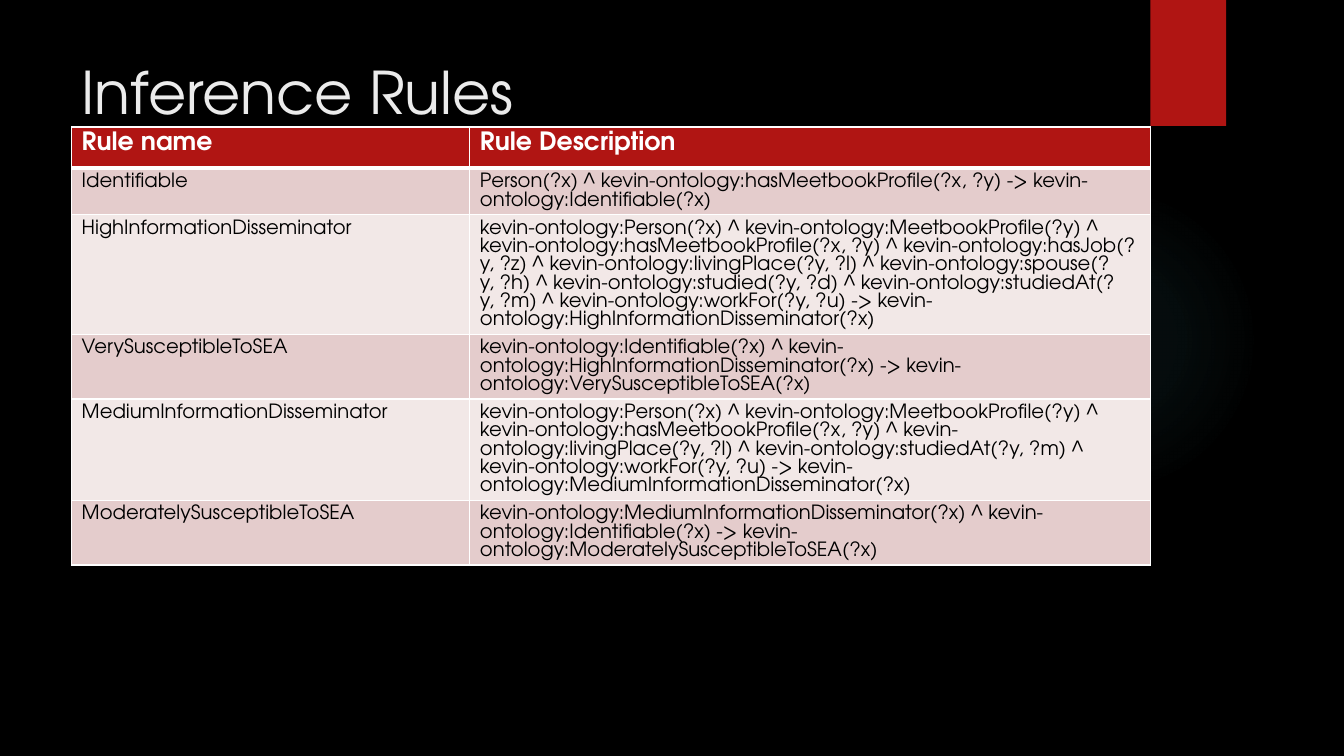
from dataclasses import dataclass

from lxml.etree import SubElement
from pptx import Presentation
from pptx.dml.color import RGBColor
from pptx.enum.shapes import MSO_SHAPE
from pptx.enum.text import MSO_ANCHOR, MSO_AUTO_SIZE, PP_ALIGN
from pptx.oxml import parse_xml
from pptx.oxml.ns import nsdecls, qn
from pptx.util import Inches, Pt


@dataclass(frozen=True)
class Theme:
    font: str = "TeX Gyre Adventor"
    back: str = "000000"
    glow: str = "50B9C1"
    red: str = "B01513"
    title: str = "EBEBEB"
    white: str = "FFFFFF"
    ink: str = "000000"
    bands: tuple = ("E4CCCC", "F2E8E7")
    title_size: int = 42
    head_size: int = 18
    body_size: int = 14
    leading: float = 0.93


theme = Theme()
deck = Presentation()
deck.slide_width, deck.slide_height = Inches(13.33), Inches(7.5)


def area(left, top, width, height):
    """Turn percentages of the slide into left, top, width and height."""
    wide, high = deck.slide_width / 100, deck.slide_height / 100
    return int(left * wide), int(top * high), int(width * wide), int(height * high)


def write(para, text, size, color, bold=False):
    run = para.add_run()
    run.text = text
    run.font.name, run.font.size, run.font.bold = theme.font, Pt(size), bold
    run.font.color.rgb = RGBColor.from_string(color)


slide = deck.slides.add_slide(deck.slide_layouts[5])
slide.background.fill.solid()
slide.background.fill.fore_color.rgb = RGBColor.from_string(theme.back)

# Soft glow and red tab
glow = slide.shapes.add_shape(MSO_SHAPE.OVAL, *area(70.6, 24.4, 23.1, 41.07))
tab = slide.shapes.add_shape(MSO_SHAPE.RECTANGLE, *area(85.6, 0, 5.63, 16.67))
for shape in (glow, tab):
    shape.shadow.inherit = False
    shape.line.fill.background()
tab.fill.solid()
tab.fill.fore_color.rgb = RGBColor.from_string(theme.red)

stops = "".join(
    f'<a:gs pos="{pos * 1000}"><a:srgbClr val="{theme.glow}">'
    f'<a:alpha val="{alpha * 1000}"/></a:srgbClr></a:gs>'
    for pos, alpha in ((0, 7), (36, 6), (69, 0), (100, 0))
)
fade = parse_xml(
    f'<a:gradFill {nsdecls("a")} rotWithShape="1"><a:gsLst>{stops}</a:gsLst>'
    '<a:path path="circle"><a:fillToRect l="50000" t="50000" r="50000" b="50000"/>'
    "</a:path></a:gradFill>"
)
glow._element.spPr.find(qn("a:prstGeom")).addnext(fade)

# Title
title = slide.shapes.title
title.left, title.top, title.width, title.height = area(5.33, 6.67, 77.2, 20.4)
frame = title.text_frame
frame.word_wrap, frame.auto_size = True, MSO_AUTO_SIZE.NONE
frame.vertical_anchor = MSO_ANCHOR.TOP
frame.paragraphs[0].alignment = PP_ALIGN.LEFT
write(frame.paragraphs[0], "Inference Rules", theme.title_size, theme.title)

# Rules table
base = "kevin-ontology:"
rules = (
    ("Rule name", "Rule Description"),
    ("Identifiable",
     f"Person(?x) ^ {base}hasMeetbookProfile(?x, ?y) -> {base}Identifiable(?x)"),
    ("HighInformationDisseminator",
     f"{base}Person(?x) ^ {base}MeetbookProfile(?y) ^ "
     f"{base}hasMeetbookProfile(?x, ?y) ^ {base}hasJob(?y, ?z) ^ "
     f"{base}livingPlace(?y, ?l) ^ {base}spouse(?y, ?h) ^ "
     f"{base}studied(?y, ?d) ^ {base}studiedAt(?y, ?m) ^ "
     f"{base}workFor(?y, ?u) -> {base}HighInformationDisseminator(?x)"),
    ("VerySusceptibleToSEA",
     f"{base}Identifiable(?x) ^ {base}HighInformationDisseminator(?x) -> "
     f"{base}VerySusceptibleToSEA(?x)"),
    ("MediumInformationDisseminator",
     f"{base}Person(?x) ^ {base}MeetbookProfile(?y) ^ "
     f"{base}hasMeetbookProfile(?x, ?y) ^ {base}livingPlace(?y, ?l) ^ "
     f"{base}studiedAt(?y, ?m) ^ {base}workFor(?y, ?u) -> "
     f"{base}MediumInformationDisseminator(?x)"),
    ("ModeratelySusceptibleToSEA",
     f"{base}MediumInformationDisseminator(?x) ^ {base}Identifiable(?x) -> "
     f"{base}ModeratelySusceptibleToSEA(?x)"),
)
shares = (29.63, 50.64)
spot = area(5.33, 16.8, sum(shares), 5.47 * len(rules))
table = slide.shapes.add_table(len(rules), len(shares), *spot).table
for column, share in zip(table.columns, shares):
    column.width = int(deck.slide_width * share / 100)

for row, rule in enumerate(rules):
    head = row == 0
    size = theme.head_size if head else theme.body_size
    color = theme.white if head else theme.ink
    fill = theme.red if head else theme.bands[(row - 1) % 2]
    for col, text in enumerate(rule):
        cell = table.cell(row, col)
        para = cell.text_frame.paragraphs[0]
        para.line_spacing = Pt(round(size * theme.leading, 1))
        write(para, text, size, color, head)
        props = cell._tc.get_or_add_tcPr()
        for side in ("lnL", "lnR", "lnT", "lnB"):
            thick = (head and side == "lnB") or (row == 1 and side == "lnT")
            line = SubElement(props, qn(f"a:{side}"), w=str(Pt(3 if thick else 1)))
            paint = SubElement(line, qn("a:solidFill"))
            SubElement(paint, qn("a:srgbClr"), val=theme.white)
        cell.fill.solid()
        cell.fill.fore_color.rgb = RGBColor.from_string(fill)

deck.save("out.pptx")
